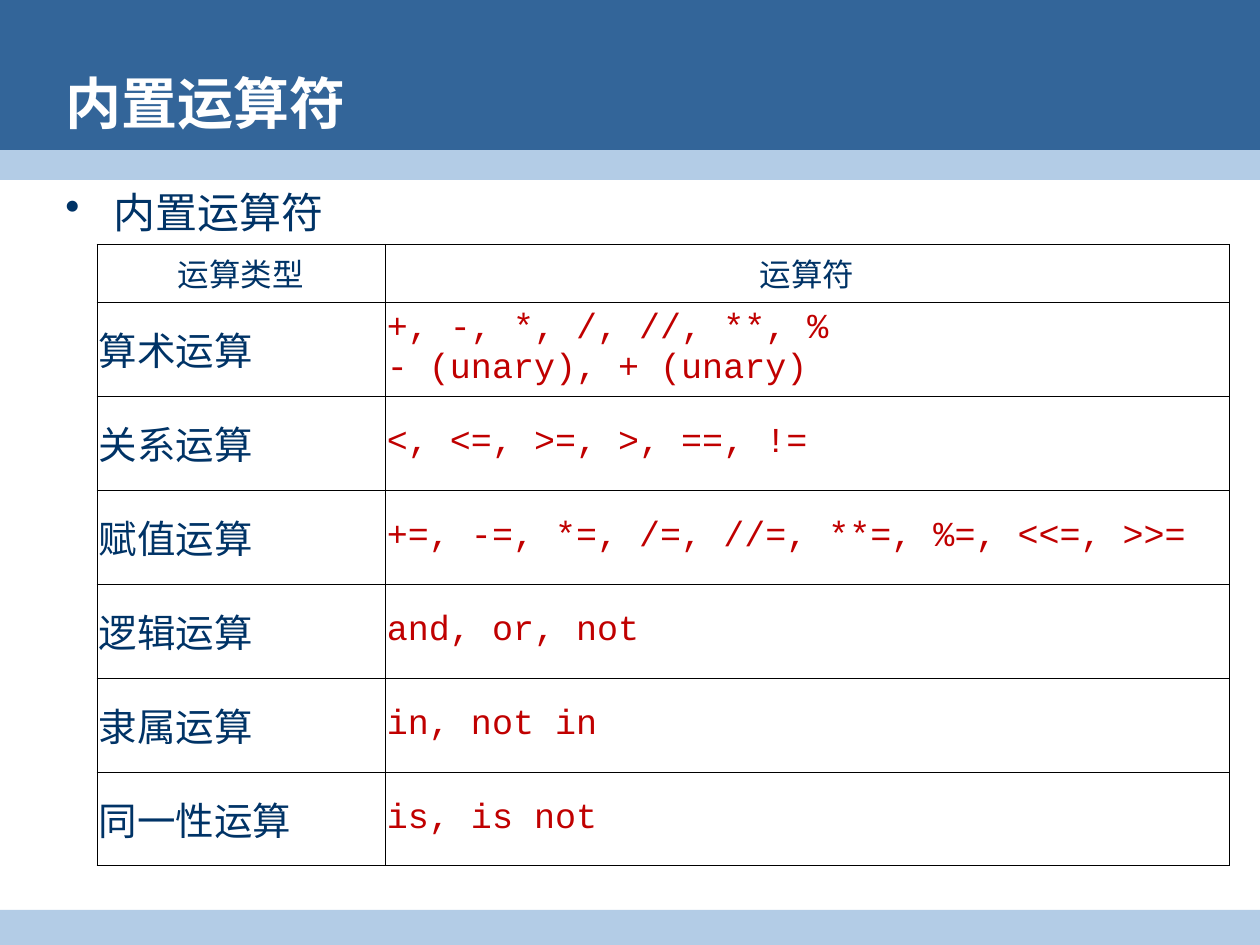
from lxml import etree
from pptx import Presentation
from pptx.dml.color import RGBColor
from pptx.enum.shapes import MSO_SHAPE
from pptx.enum.text import MSO_ANCHOR, MSO_AUTO_SIZE, PP_ALIGN
from pptx.oxml.ns import qn
from pptx.util import Pt

RECT = MSO_SHAPE.RECTANGLE
MIDDLE = MSO_ANCHOR.MIDDLE
LEFT, CENTER = PP_ALIGN.LEFT, PP_ALIGN.CENTER
NO_AUTOFIT = MSO_AUTO_SIZE.NONE

EMU_PER_PX = 914400 // 126
SLIDE_W, SLIDE_H = 1260, 945
BLUE, PALE, NAVY = "336599", "B3CCE6", "003366"
RED, WHITE, BLACK = "C00000", "FFFFFF", "000000"
SANS, MONO = "Arial", "Courier New"

TITLE_FORMAT = {"name": SANS, "size": Pt(32), "bold": True}
BULLET_FORMAT = {"name": SANS, "size": Pt(24)}
HEADER_FORMAT = {"name": SANS, "size": Pt(18)}
OPERATOR_FORMAT = {"name": MONO, "size": Pt(20)}

HEADERS = ["运算类型", "运算符"]
# Kind of operation, its font, and the operators line by line
OPERATIONS = [
    ("算术运算", SANS, ["+, -, *, /, //, **, %", "- (unary), + (unary)"]),
    ("关系运算", SANS, ["<, <=, >=, >, ==, !="]),
    ("赋值运算", SANS, ["+=, -=, *=, /=, //=, **=, %=, <<=, >>="]),
    ("逻辑运算", MONO, ["and, or, not"]),
    ("隶属运算", MONO, ["in, not in"]),
    ("同一性运算", MONO, ["is, is not"]),
]
COLUMN_WIDTHS = [288, 844]
HEADER_H, ROW_H = 58, 94


def px(length):
    return length * EMU_PER_PX


def color(hex_string):
    return RGBColor.from_string(hex_string)


def set_attributes(target, values):
    for name, value in values.items():
        setattr(target, name, value)


def write_lines(frame, lines, font_format, text_color, align=LEFT):
    frame.text = "\n".join(lines)
    for paragraph in frame.paragraphs:
        paragraph.alignment = align
        for run in paragraph.runs:
            set_attributes(run.font, font_format)
            run.font.color.rgb = color(text_color)


def add_band(slide, box, fill):
    band = slide.shapes.add_shape(RECT, *map(px, box))
    band.shadow.inherit = False
    band.fill.solid()
    band.fill.fore_color.rgb = color(fill)
    band.line.fill.background()


def place_title(slide, box, text):
    title = slide.shapes.title
    set_attributes(title, dict(zip(("left", "top", "width", "height"), map(px, box))))
    set_attributes(title.text_frame, {"vertical_anchor": MIDDLE, "word_wrap": True,
                                      "auto_size": NO_AUTOFIT})
    write_lines(title.text_frame, [text], TITLE_FORMAT, WHITE)
    # Bring the title in front of the bands
    slide.shapes._spTree.append(title._element)


def add_bullet_text(slide, box, text):
    frame = slide.shapes.add_textbox(*map(px, box)).text_frame
    frame.word_wrap = True
    write_lines(frame, [text], BULLET_FORMAT, NAVY)
    properties = frame.paragraphs[0]._p.get_or_add_pPr()
    properties.set("marL", str(px(48)))
    properties.set("indent", str(-px(48)))
    bullet_color = etree.SubElement(properties, qn("a:buClr"))
    etree.SubElement(bullet_color, qn("a:srgbClr"), val=NAVY)
    etree.SubElement(properties, qn("a:buChar"), char="•")


def format_cell(cell):
    properties = cell._tc.get_or_add_tcPr()
    for side in ("lnL", "lnR", "lnT", "lnB"):
        border = etree.SubElement(properties, qn("a:" + side), w=str(Pt(0.34)))
        fill = etree.SubElement(border, qn("a:solidFill"))
        etree.SubElement(fill, qn("a:srgbClr"), val=BLACK)
    cell.fill.solid()
    cell.fill.fore_color.rgb = color(WHITE)
    set_attributes(cell, {"vertical_anchor": MIDDLE, "margin_left": px(2),
                          "margin_right": px(2), "margin_top": px(6),
                          "margin_bottom": px(6)})


def add_operator_table(slide, left, top):
    row_heights = [HEADER_H] + [ROW_H] * len(OPERATIONS)
    table = slide.shapes.add_table(
        len(row_heights), len(COLUMN_WIDTHS), px(left), px(top),
        px(sum(COLUMN_WIDTHS)), px(sum(row_heights))).table
    set_attributes(table, {"first_row": False, "horz_banding": False})
    for column, width in zip(table.columns, COLUMN_WIDTHS):
        column.width = px(width)
    for row, height in zip(table.rows, row_heights):
        row.height = px(height)
    for cell in table.iter_cells():
        format_cell(cell)

    for column, header in enumerate(HEADERS):
        write_lines(table.cell(0, column).text_frame, [header],
                    HEADER_FORMAT, NAVY, CENTER)
    for row, (kind, kind_font, operators) in enumerate(OPERATIONS, 1):
        write_lines(table.cell(row, 0).text_frame, [kind],
                    {"name": kind_font, "size": Pt(22)}, NAVY)
        write_lines(table.cell(row, 1).text_frame, operators, OPERATOR_FORMAT, RED)


def main():
    deck = Presentation()
    set_attributes(deck, {"slide_width": px(SLIDE_W), "slide_height": px(SLIDE_H)})
    slide = deck.slides.add_slide(deck.slide_layouts[5])

    # Header and footer bands
    add_band(slide, (0, 0, SLIDE_W, 165), BLUE)
    add_band(slide, (0, 150, SLIDE_W, 30), PALE)
    add_band(slide, (0, 910, SLIDE_W, 35), PALE)

    # Content
    add_bullet_text(slide, (53, 180, 1176, 734), "内置运算符")
    place_title(slide, (53, 66, 1142, 73), "内置运算符")
    add_operator_table(slide, 97, 244)
    deck.save("out.pptx")


if __name__ == "__main__":
    main()
